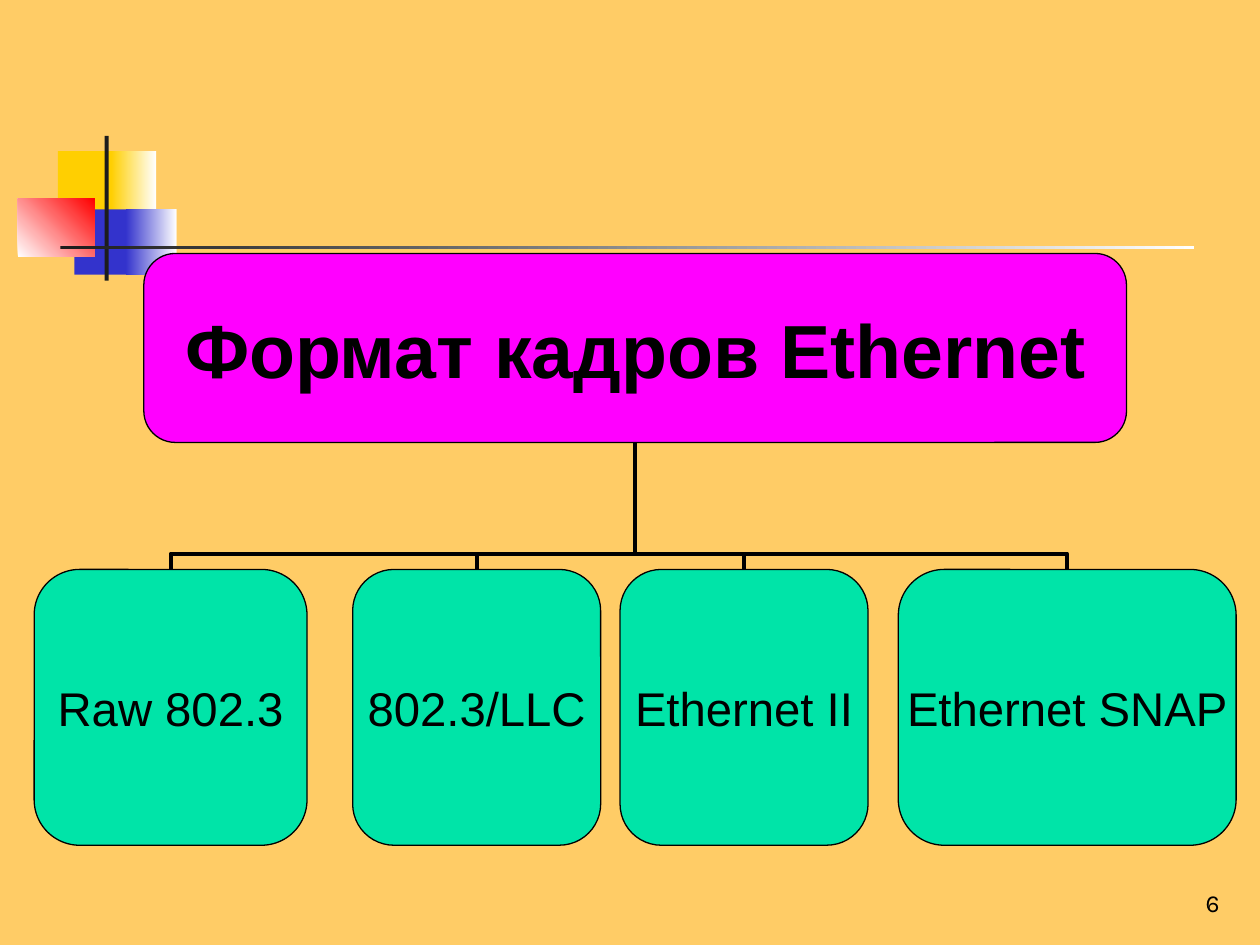
from lxml.etree import SubElement
from pptx import Presentation
from pptx.dml.color import RGBColor
from pptx.enum.shapes import MSO_CONNECTOR, MSO_SHAPE
from pptx.enum.text import MSO_ANCHOR, PP_ALIGN
from pptx.oxml.ns import qn
from pptx.util import Cm, Pt

BLACK, DARK, WHITE = "000000", "1C1C1C", "FFFFFF"
PINK, GREEN = "FF00FF", "00E4A8"
GOLD, BLUE, RED = "FFCF01", "3333CC", "FF0000"


def tint(color, code):
    color.rgb = RGBColor.from_string(code)


def fill(part, code):
    part.fill.solid()
    tint(part.fill.fore_color, code)


def fade(part, codes, angle):
    part.fill.gradient()
    part.fill.gradient_angle = angle
    for stop, code in zip(part.fill.gradient_stops, codes):
        tint(stop.color, code)


def put(item, values):
    for key, value in values.items():
        setattr(item, key, value)


def write(shape, text, frame, align, font):
    put(shape.text_frame, frame)
    para = shape.text_frame.paragraphs[0]
    para.alignment = align
    run = para.add_run()
    run.text = text
    put(run.font, font)
    tint(run.font.color, BLACK)


def add_logo(slide, left, top):
    """Overlapping squares with a bar and a rule."""
    parts = [  # x, y, width, height, colours, angle
        (0.81, 0.31, 1.22, 1.32, [GOLD], 0),
        (1.88, 0.31, 0.91, 1.32, [GOLD, WHITE], 0),
        (1.14, 1.48, 1.17, 1.32, [BLUE], 0),
        (2.18, 1.48, 1.02, 1.32, [BLUE, WHITE], 0),
        (0, 1.27, 1.55, 1.17, [WHITE, RED], 45),
        (1.75, 0, 0.08, 2.92, [DARK], 0),
        (0.86, 2.21, 22.86, 0.08, [DARK, WHITE], 0),
    ]
    for x, y, wide, high, codes, angle in parts:
        part = slide.shapes.add_shape(
            MSO_SHAPE.RECTANGLE, Cm(left + x), Cm(top + y), Cm(wide), Cm(high))
        part.shadow.inherit = False
        part.line.fill.background()
        if len(codes) > 1:
            fade(part, codes, angle)
        else:
            fill(part, codes[0])


def add_node(slide, box, text, code, size, bold=False):
    node = slide.shapes.add_shape(
        MSO_SHAPE.ROUNDED_RECTANGLE, *[Cm(n) for n in box])
    node.shadow.inherit = False
    fill(node, code)
    tint(node.line.color, BLACK)
    node.line.width = Pt(0.75)
    frame = dict(margin_left=0, margin_right=0, margin_top=0, margin_bottom=0,
                 word_wrap=False, vertical_anchor=MSO_ANCHOR.MIDDLE)
    font = dict(name="Arial", size=Pt(size), bold=bold)
    write(node, text, frame, PP_ALIGN.CENTER, font)


def add_link(slide, x1, y1, x2, y2):
    """Elbow that leaves downwards: a level one, turned about its centre."""
    midx, midy = (x1 + x2) / 2, (y1 + y2) / 2
    long, wide = (y2 - y1) / 2, abs(x2 - x1) / 2
    side = 1 if x2 < x1 else -1
    link = slide.shapes.add_connector(
        MSO_CONNECTOR.ELBOW, Cm(midx - side * long), Cm(midy - wide),
        Cm(midx + side * long), Cm(midy + wide))
    tint(link.line.color, BLACK)
    link.line.width = Pt(2.25)
    props = link._element.spPr
    SubElement(props, qn("a:effectLst"))
    turn = 90 if side > 0 else 270
    props.find(qn("a:xfrm")).set("rot", str(turn * 60000))
    geom = props.find(qn("a:prstGeom"))
    bend = geom.find(qn("a:avLst"))
    if bend is None:
        bend = SubElement(geom, qn("a:avLst"))
    SubElement(bend, qn("a:gd"), name="adj1", fmla="val 87600")


def add_tree(slide, left, top):
    """Root box with a row of kinds below it."""
    root = (left + 2.21, top, 19.81, 3.81)
    kinds = [  # x, width, text
        (0, 5.5, "Raw 802.3"),
        (6.42, 5, "802.3/LLC"),
        (11.81, 5, "Ethernet II"),
        (17.42, 6.81, "Ethernet SNAP"),
    ]
    row = top + 6.37
    for x, wide, _ in reversed(kinds):
        add_link(slide, root[0] + root[2] / 2, top + root[3],
                 left + x + wide / 2, row)
    add_node(slide, root, "Формат кадров Ethernet", PINK, 43, True)
    for x, wide, text in kinds:
        add_node(slide, (left + x, row, wide, 5.56), text, GREEN, 27)


def add_number(slide, left, top, wide, high):
    box = slide.shapes.add_textbox(Cm(left), Cm(top), Cm(wide), Cm(high))
    frame = dict(word_wrap=True, vertical_anchor=MSO_ANCHOR.BOTTOM)
    write(box, "6", frame, PP_ALIGN.RIGHT, dict(name="Karla", size=Pt(14)))


def main():
    deck = Presentation()
    put(deck, dict(slide_width=Cm(25.4), slide_height=Cm(19.05)))
    slide = deck.slides.add_slide(deck.slide_layouts[6])
    fill(slide.background, "FFCC66")
    add_logo(slide, 0.36, 2.74)
    add_number(slide, 19.56, 17.35, 5.28, 1.27)
    add_tree(slide, 0.69, 5.11)
    deck.save("out.pptx")


if __name__ == "__main__":
    main()
